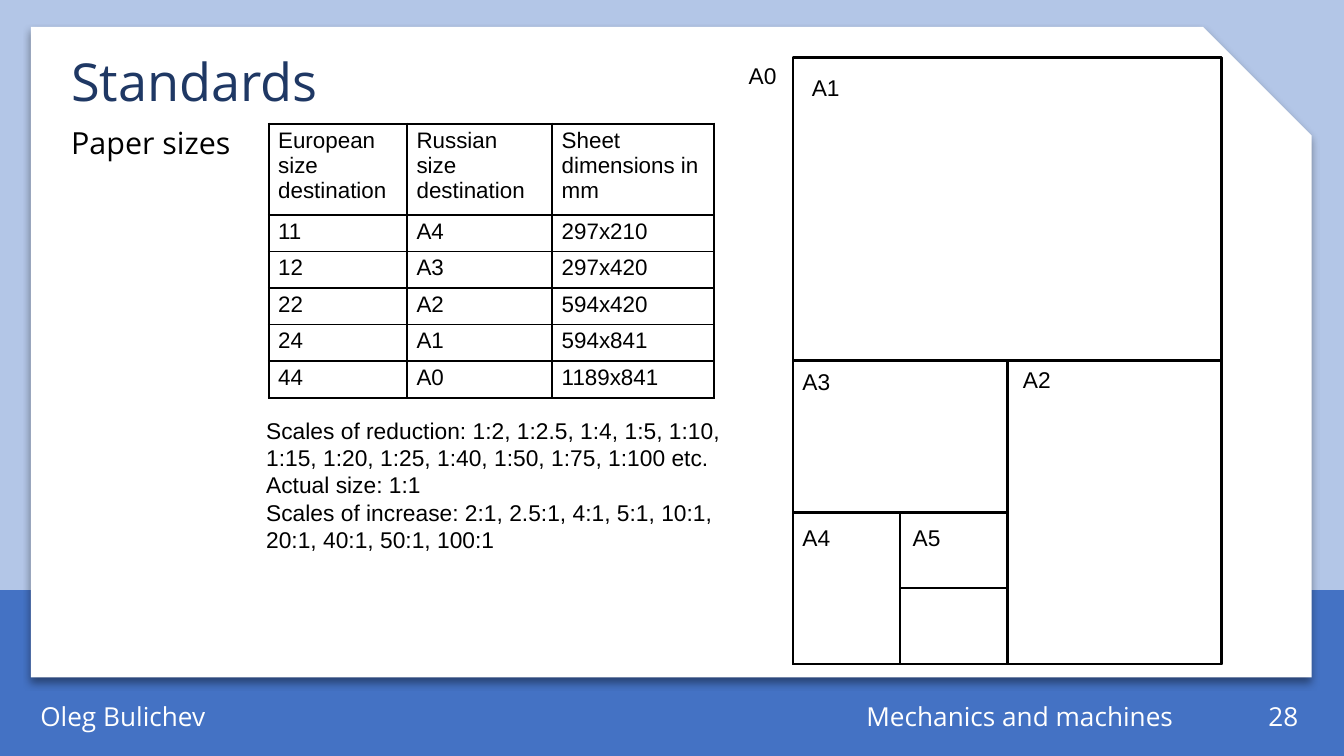
from lxml.etree import SubElement
from pptx import Presentation
from pptx.dml.color import RGBColor
from pptx.enum.shapes import MSO_SHAPE as Shape
from pptx.enum.text import MSO_ANCHOR as Anchor, PP_ALIGN as Align
from pptx.oxml.ns import qn
from pptx.util import Inches, Pt

BLACK = RGBColor(0x00, 0x00, 0x00)
WHITE = RGBColor(0xFF, 0xFF, 0xFF)
NAVY = RGBColor(0x1F, 0x38, 0x64)
BLUE = RGBColor(0x44, 0x72, 0xC4)
PALE_BLUE = RGBColor(0xB3, 0xC6, 0xE7)
HEADING_FONT, BODY_FONT = "Open Sans", "Arial"

# Content
TITLE = "Standards"
SUBTITLE = "Paper sizes"
SIZES = [
    ("European size destination", "Russian size destination", "Sheet dimensions in mm"),
    ("11", "A4", "297x210"),
    ("12", "A3", "297x420"),
    ("22", "A2", "594x420"),
    ("24", "A1", "594x841"),
    ("44", "A0", "1189x841"),
]
SCALES = [
    "Scales of reduction: 1:2, 1:2.5, 1:4, 1:5, 1:10, 1:15, 1:20, 1:25, 1:40, 1:50, 1:75, 1:100 etc.",
    "Actual size: 1:1",
    "Scales of increase: 2:1, 2.5:1, 4:1, 5:1, 10:1, 20:1, 40:1, 50:1, 100:1",
]
FOOTER = [  # text, left, width, alignment
    ("Oleg Bulichev", 0.23, 1.43, Align.LEFT),
    ("Mechanics and machines", 4.86, 3.94, Align.RIGHT),
    ("28", 8.98, 0.75, Align.RIGHT),
]
SHEET_LABELS = [  # text, left, top
    ("A0", 5.5, 0.43), ("A1", 5.97, 0.52), ("A2", 7.54, 2.69),
    ("A3", 5.9, 2.71), ("A4", 5.9, 3.87), ("A5", 6.72, 3.87),
]

# Layout in inches, on a 16:9 slide
WIDTH = 10
HEIGHT = WIDTH * 9 / 16
BAND_TOP = 4.39
SHEET_LEFT, SHEET_TOP, SHEET_WIDTH, SHEET_HEIGHT = 5.9, 0.43, 3.19, 4.51
COLUMNS = (1.03, 1.08, 1.2)
TABLE_HEIGHT, HEADER_ROW = 2.04, 0.68
BODY_ROW = (TABLE_HEIGHT - HEADER_ROW) / (len(SIZES) - 1)
MARGIN_X, MARGIN_Y = 0.07, 0.03

deck = Presentation()
deck.slide_width, deck.slide_height = Inches(WIDTH), Inches(HEIGHT)
page = deck.slides.add_slide(deck.slide_layouts[6])
page.background.fill.solid()
page.background.fill.fore_color.rgb = PALE_BLUE


def set_margins(target):
    target.margin_left = target.margin_right = Inches(MARGIN_X)
    target.margin_top = target.margin_bottom = Inches(MARGIN_Y)


def add_span(para, text, size, font, color):
    span = para.add_run()
    span.text = text
    span.font.size, span.font.name = Pt(size), font
    span.font.color.rgb = color


def add_text(lines, left, top, width, height, size, font=BODY_FONT, color=BLACK,
             align=Align.LEFT, anchor=Anchor.TOP, spacing=1.0):
    box = page.shapes.add_textbox(*map(Inches, (left, top, width, height)))
    frame = box.text_frame
    frame.word_wrap, frame.vertical_anchor = True, anchor
    set_margins(frame)
    for index, line in enumerate(lines):
        para = frame.add_paragraph() if index else frame.paragraphs[0]
        para.alignment, para.line_spacing = align, spacing
        add_span(para, line, size, font, color)


def add_block(kind, left, top, width, height, fill, outlined=False):
    block = page.shapes.add_shape(kind, *map(Inches, (left, top, width, height)))
    block.shadow.inherit = False
    block.fill.solid()
    block.fill.fore_color.rgb = fill
    if outlined:
        block.line.color.rgb, block.line.width = BLACK, Pt(1.42)
    else:
        block.line.fill.background()
    return block


def add_shadow(block, blur, distance, angle, opacity):
    effects = block._element.spPr.find(qn("a:effectLst"))
    shadow = SubElement(effects, qn("a:outerShdw"), blurRad=str(Pt(blur)),
                        dist=str(Pt(distance)), dir=str(angle * 60000), rotWithShape="0")
    color = SubElement(shadow, qn("a:srgbClr"), val=str(BLACK))
    SubElement(color, qn("a:alpha"), val=str(opacity * 1000))


def add_borders(cell):
    props = cell._tc.get_or_add_tcPr()
    for position, side in enumerate(("a:lnL", "a:lnR", "a:lnT", "a:lnB")):
        line = props.makeelement(qn(side), {"w": str(Pt(1.13))})
        fill = SubElement(line, qn("a:solidFill"))
        SubElement(fill, qn("a:srgbClr"), val=str(BLACK))
        props.insert(position, line)


# Backdrop: blue band and white card with a cut corner
add_block(Shape.RECTANGLE, 0, BAND_TOP, WIDTH, HEIGHT - BAND_TOP, BLUE)
card = add_block(Shape.SNIP_1_RECTANGLE, 0.23, 0.2, 9.53, 4.84, WHITE)
card.adjustments[0] = 0.167
add_shadow(card, blur=4, distance=3, angle=90, opacity=40)

# Footer
for text, left, width, align in FOOTER:
    add_text([text], left, 5.18, width, 0.3, 14, HEADING_FONT, WHITE, align, Anchor.MIDDLE)

# Headings
add_text([TITLE], 0.46, 0.39, 8.62, 0.66, 28, HEADING_FONT, NAVY, spacing=0.9)
add_text([SUBTITLE], 0.46, 0.89, 1.5, 0.32, 16.3, HEADING_FONT)

# Paper sheets: halve height and width in turn, keeping the bottom left part
bottom = SHEET_TOP + SHEET_HEIGHT
width, height = SHEET_WIDTH, SHEET_HEIGHT
for step in range(5):
    add_block(Shape.RECTANGLE, SHEET_LEFT, bottom - height, width, height, WHITE, True)
    if step % 2:
        width /= 2
    else:
        height /= 2
# The smallest sheet is the upper half of the remaining corner
add_block(Shape.RECTANGLE, SHEET_LEFT + SHEET_WIDTH / 4, bottom - SHEET_HEIGHT / 4,
          SHEET_WIDTH / 4, SHEET_HEIGHT / 8, WHITE, True)
for text, left, top in SHEET_LABELS:
    add_text([text], left, top, 0.42, 0.26, 12.2)

# Table of sizes
row_heights = [HEADER_ROW] + [BODY_ROW] * (len(SIZES) - 1)
table = page.shapes.add_table(len(SIZES), len(COLUMNS), Inches(2), Inches(0.92),
                              Inches(sum(COLUMNS)), Inches(TABLE_HEIGHT)).table
table.first_row = table.horz_banding = False
for column, column_width in zip(table.columns, COLUMNS):
    column.width = Inches(column_width)
for row, row_height, texts in zip(table.rows, row_heights, SIZES):
    row.height = Inches(row_height)
    for cell, text in zip(row.cells, texts):
        set_margins(cell)
        cell.fill.background()
        add_borders(cell)
        add_span(cell.text_frame.paragraphs[0], text, 12, BODY_FONT, BLACK)

# Drawing scales
add_text(SCALES, 1.91, 3.07, 3.79, 1.21, 12.2)

deck.save("out.pptx")
